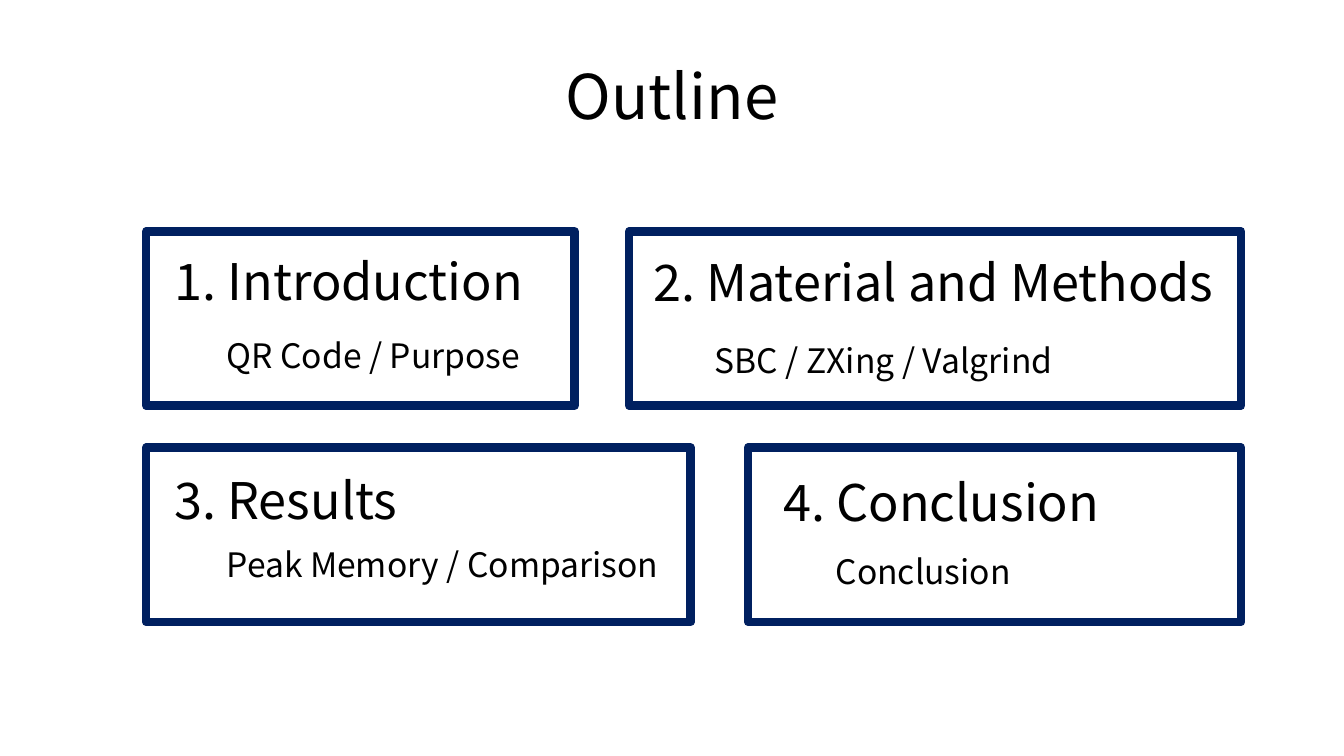
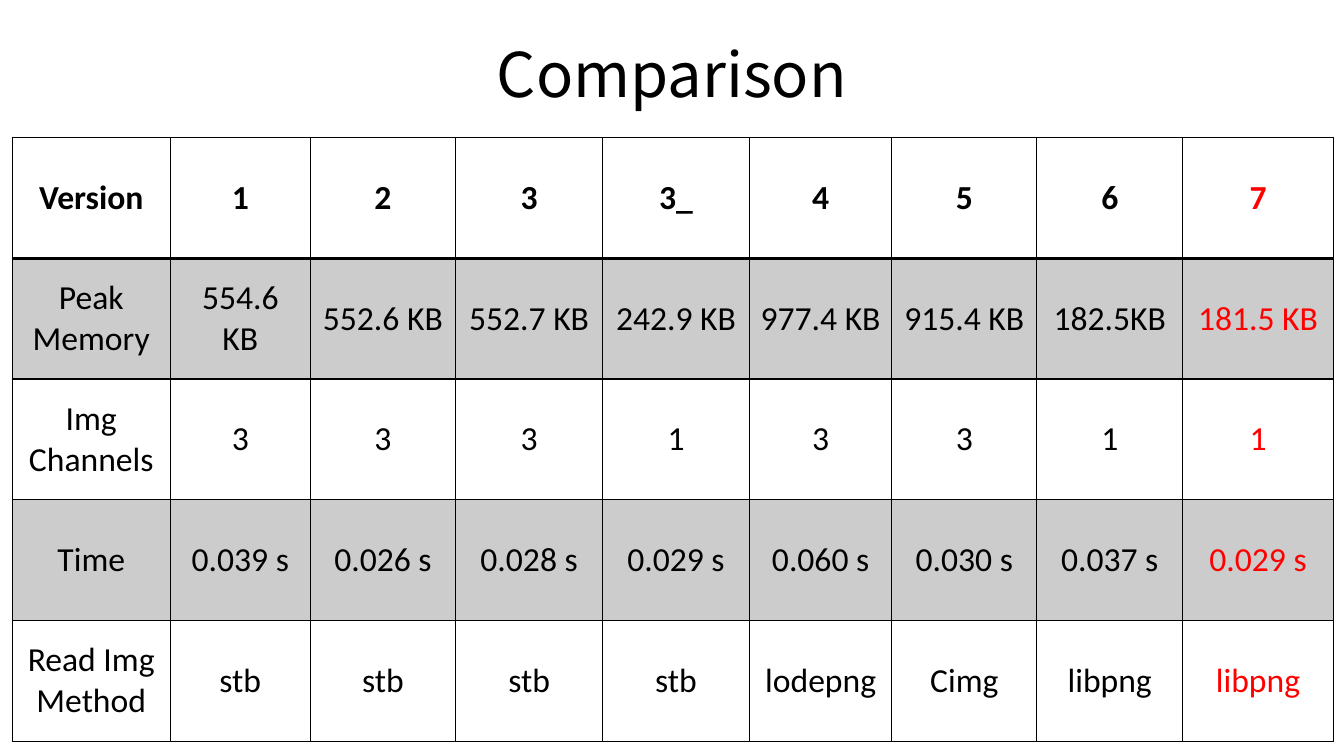
from dataclasses import dataclass

from lxml.etree import SubElement
from pptx import Presentation
from pptx.dml.color import RGBColor
from pptx.enum.shapes import MSO_SHAPE
from pptx.enum.text import MSO_ANCHOR, MSO_AUTO_SIZE, PP_ALIGN
from pptx.oxml.ns import qn
from pptx.presentation import Presentation as Deck
from pptx.slide import Slide
from pptx.table import _Cell
from pptx.text.text import TextFrame, _Paragraph
from pptx.util import Emu, Inches, Pt

WIDTH, HEIGHT = Inches(13.33), Inches(7.5)
FONT = "Noto Sans CJK TC"
TABLE_FONT = "Calibri"
COLORS = {"text": "000000", "accent": "FF0000", "frame": "002060"}
TITLE_HEIGHT = 23.7
HEADING_HEIGHT = 17.6
NOTE_HEIGHT = 6.7
PANEL_HEIGHT = 23.07


@dataclass(frozen=True)
class Label:
    text: str
    left: float
    top: float


@dataclass(frozen=True)
class Panel:
    left: float
    right: float
    top: float
    heading: Label
    note: Label


LEFT_EDGE, RIGHT_EDGE = 10.88, 92.35
UPPER, LOWER = 30.6, 59.2
PANELS = [
    Panel(LEFT_EDGE, 42.76, UPPER,
          Label("1. Introduction", 12.23, 28.8),
          Label("QR Code / Purpose", 16.13, 43.6)),
    Panel(46.81, RIGHT_EDGE, UPPER,
          Label("2. Material and Methods", 47.86, 28.93),
          Label("SBC / ZXing / Valgrind", 52.44, 44.27)),
    Panel(LEFT_EDGE, 51.39, LOWER,
          Label("3. Results", 12.23, 57.73),
          Label("Peak Memory / Comparison", 16.13, 71.33)),
    Panel(55.66, RIGHT_EDGE, LOWER,
          Label("4. Conclusion", 57.54, 58),
          Label("Conclusion", 61.44, 72.27)),
]

TABLE_LEFT, TABLE_TOP = 0.9, 18.2
ROW_SHARE = 15.97
COLUMN_SHARES = [11.78, 10.4, 10.83, 10.93, 10.93, 10.6, 10.78, 10.87, 11.2]
ROWS = [
    ["Version", "1", "2", "3", "3_", "4", "5", "6", "7"],
    ["Peak Memory", "554.6 KB", "552.6 KB", "552.7 KB", "242.9 KB",
     "977.4 KB", "915.4 KB", "182.5KB", "181.5 KB"],
    ["Img\nChannels", "3", "3", "3", "1", "3", "3", "1", "1"],
    ["Time", "0.039 s", "0.026 s", "0.028 s", "0.029 s",
     "0.060 s", "0.030 s", "0.037 s", "0.029 s"],
    ["Read Img\nMethod", "stb", "stb", "stb", "stb",
     "lodepng", "Cimg", "libpng", "libpng"],
]


def across(percent: float) -> Emu:
    return Emu(round(WIDTH * percent / 100))


def down(percent: float) -> Emu:
    return Emu(round(HEIGHT * percent / 100))


def color(name: str) -> RGBColor:
    return RGBColor.from_string(COLORS[name])


def style(p: _Paragraph, size: int, font: str = FONT, name: str = "text",
          bold: bool = False) -> None:
    p.font.size = Pt(size)
    p.font.name = font
    p.font.bold = bold
    p.font.color.rgb = color(name)


def write(tf: TextFrame, text: str, size: int, anchor: MSO_ANCHOR,
          align: PP_ALIGN, spacing: float) -> None:
    tf.word_wrap = True
    tf.auto_size = MSO_AUTO_SIZE.NONE
    tf.vertical_anchor = anchor
    p = tf.paragraphs[0]
    p.text = text
    p.alignment = align
    p.line_spacing = spacing
    style(p, size)


def add_titled_slide(prs: Deck, title: str, top: float) -> Slide:
    s = prs.slides.add_slide(prs.slide_layouts[5])
    sp = s.shapes.title
    sp.left, sp.top, sp.width, sp.height = 0, down(top), WIDTH, down(TITLE_HEIGHT)
    write(sp.text_frame, title, 44, MSO_ANCHOR.MIDDLE, PP_ALIGN.CENTER, 0.9)
    return s


def add_label(s: Slide, label: Label, right: float, height: float, size: int,
              anchor: MSO_ANCHOR, spacing: float) -> None:
    sp = s.shapes.add_textbox(across(label.left), down(label.top),
                              across(right - label.left), down(height))
    write(sp.text_frame, label.text, size, anchor, PP_ALIGN.LEFT, spacing)


def add_panel(s: Slide, panel: Panel) -> None:
    sp = s.shapes.add_shape(MSO_SHAPE.RECTANGLE, across(panel.left), down(panel.top),
                            across(panel.right - panel.left), down(PANEL_HEIGHT))
    sp.shadow.inherit = False
    sp.fill.background()
    sp.line.color.rgb = color("frame")
    sp.line.width = Pt(6)
    add_label(s, panel.heading, panel.right, HEADING_HEIGHT, 36, MSO_ANCHOR.MIDDLE, 0.9)
    add_label(s, panel.note, panel.right, NOTE_HEIGHT, 24, MSO_ANCHOR.TOP, 1.0)


def set_borders(cell: _Cell, widths: dict[str, int]) -> None:
    tcPr = cell._tc.get_or_add_tcPr()
    for side, width in widths.items():
        ln = SubElement(tcPr, qn(f"a:ln{side}"), w=str(Pt(width)))
        fill = SubElement(ln, qn("a:solidFill"))
        SubElement(fill, qn("a:srgbClr"), val=COLORS["text"])


def set_fill(cell: _Cell, shaded: bool) -> None:
    if not shaded:
        cell.fill.background()
        return
    cell.fill.solid()
    cell.fill.fore_color.rgb = color("text")
    clr = cell._tc.get_or_add_tcPr().find(qn("a:solidFill"))[0]
    SubElement(clr, qn("a:alpha"), val="20000")


def fill_cell(cell: _Cell, text: str, row: int, last: bool) -> None:
    set_borders(cell, {"L": 1, "R": 1, "T": 2 if row == 1 else 1,
                       "B": 2 if row == 0 else 1})
    set_fill(cell, row % 2 == 1)
    cell.vertical_anchor = MSO_ANCHOR.MIDDLE
    cell.text = text
    for p in cell.text_frame.paragraphs:
        p.alignment = PP_ALIGN.CENTER
        style(p, 24, TABLE_FONT, "accent" if last else "text", row == 0)


def add_comparison_table(s: Slide) -> None:
    table = s.shapes.add_table(len(ROWS), len(COLUMN_SHARES),
                               across(TABLE_LEFT), down(TABLE_TOP),
                               across(sum(COLUMN_SHARES)),
                               down(ROW_SHARE * len(ROWS))).table
    table.first_row = False
    table.horz_banding = False
    for column, share in zip(table.columns, COLUMN_SHARES):
        column.width = across(share)
    for r, texts in enumerate(ROWS):
        table.rows[r].height = down(ROW_SHARE)
        for c, text in enumerate(texts):
            fill_cell(table.cell(r, c), text, r, c == len(texts) - 1)


def main() -> None:
    prs = Presentation()
    prs.slide_width, prs.slide_height = WIDTH, HEIGHT
    outline = add_titled_slide(prs, "Outline", 1.33)
    for panel in PANELS:
        add_panel(outline, panel)
    add_comparison_table(add_titled_slide(prs, "Comparison", -1.6))
    prs.save("out.pptx")


if __name__ == "__main__":
    main()
